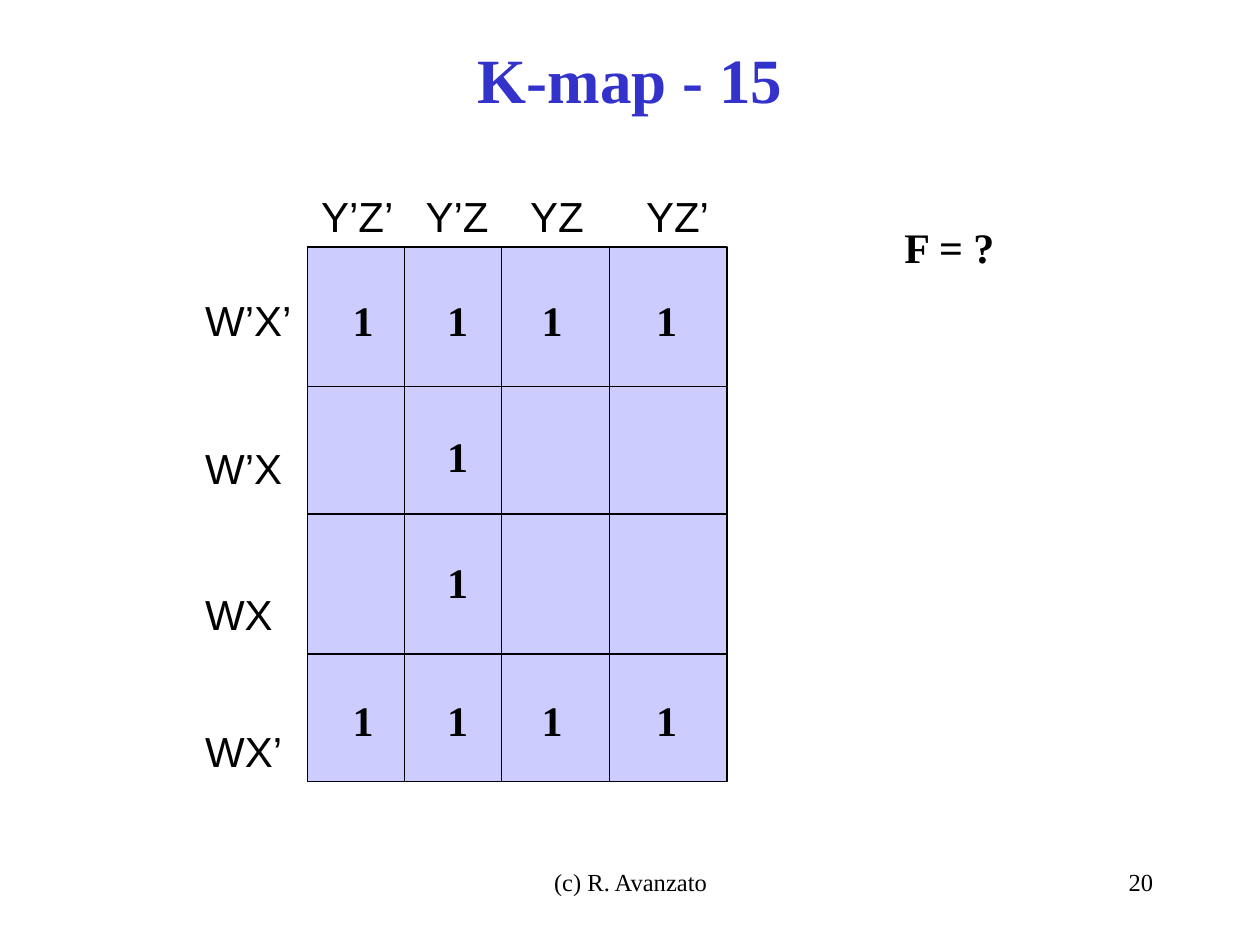
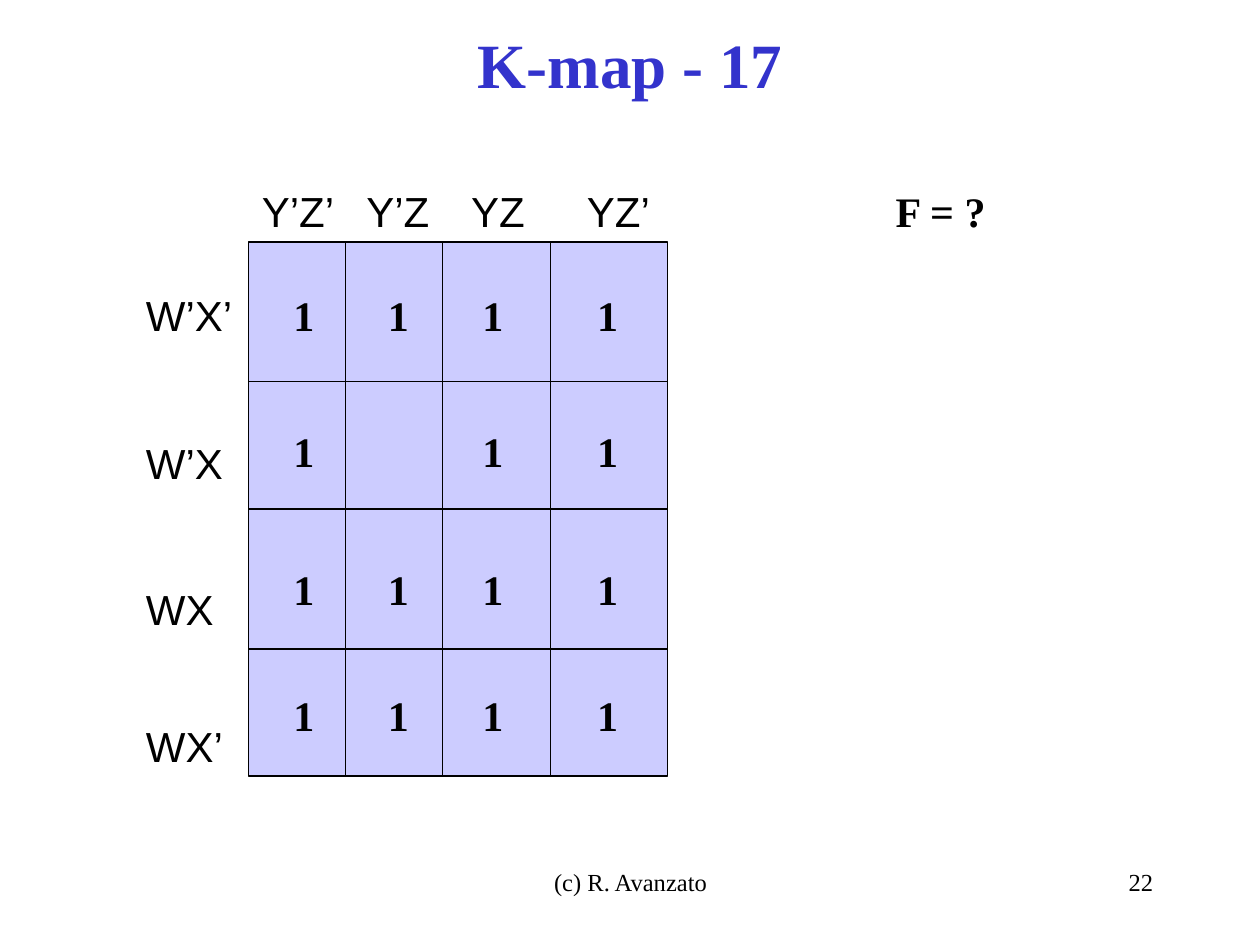
from pptx import Presentation
from pptx.dml.color import RGBColor as Rgb
from pptx.enum.shapes import MSO_CONNECTOR as Link, MSO_SHAPE as Shape
from pptx.enum.text import MSO_ANCHOR as Anchor, MSO_AUTO_SIZE as Fit, PP_ALIGN as Align
from pptx.oxml import parse_xml
from pptx.util import Inches, Pt

# Content: each map starts at "map"; "marks" shows which cells hold a 1
SLIDES = [
    {"title": "K-map - 15", "high": 1.25, "map": (2.44, 1.96), "ask": (7.08, 1.71),
     "marks": ["1111", ".1..", ".1..", "1111"],
     "drops": [0.33, 1.41, 2.41, 3.5], "page": "20"},
    {"title": "K-map - 17", "high": 1, "map": (1.97, 1.92), "ask": (7.01, 1.42),
     "marks": ["1111", "1.11", "1111", "1111"],
     "drops": [0.33, 1.41, 2.5, 3.5], "page": "22"},
]
ASK = "F = ?"
FOOT = "(c) R. Avanzato"

# Labels: text, offset from the map's corner, box width
COLS = [("Y’Z’", 0.01, 0.77), ("Y’Z", 0.84, 0.7), ("YZ", 1.67, 0.62), ("YZ’", 2.59, 0.7)]
ROWS = [("W’X’", 0.33, 0.88), ("W’X", 1.5, 0.81), ("WX", 2.66, 0.73), ("WX’", 3.75, 0.81)]
ROW_X = -0.91
MARK_X = [0.26, 1.01, 1.76, 2.67]

# Grid: two stacked halves, each split into two rows and four columns
WIDE, HALF, SPLIT = 3.33, 2.12, 1.11
RULES = [1.54, 0.77, 2.4]
LINE = Pt(0.74)
BOX = 0.5

HUES = {"title": "3333CC", "ink": "000000", "cell": "CCCCFF"}
SERIF, SANS = "Times New Roman", "Arial"
BARE = '<a:effectLst xmlns:a="http://schemas.openxmlformats.org/drawingml/2006/main"/>'


def hue(name):
    """Return a named colour."""
    return Rgb.from_string(HUES[name])


def write(slide, text, x, y, w, h=BOX, size=24, face=SERIF, bold=False,
          ink="ink", align=Align.LEFT, wrap=False):
    """Add a one-line text box and return its frame."""
    frame = slide.shapes.add_textbox(Inches(x), Inches(y), Inches(w), Inches(h)).text_frame
    frame.word_wrap = wrap
    frame.auto_size = Fit.NONE if wrap else Fit.SHAPE_TO_FIT_TEXT
    if not wrap:
        frame.margin_right = Inches(0.05)  # spare room keeps tight labels on one line
    par = frame.paragraphs[0]
    par.alignment = align
    run = par.add_run()
    run.text = text
    font = run.font
    font.name, font.size, font.bold = face, Pt(size), bold
    font.color.rgb = hue(ink)
    return frame


def rule(slide, x1, y1, x2, y2):
    """Draw a thin straight line."""
    line = slide.shapes.add_connector(
        Link.STRAIGHT, Inches(x1), Inches(y1), Inches(x2), Inches(y2))
    line.line.color.rgb = hue("ink")
    line.line.width = LINE
    line._element.spPr.append(parse_xml(BARE))


def half(slide, x, y):
    """Draw two rows of the map as a filled box with its rules."""
    box = slide.shapes.add_shape(
        Shape.RECTANGLE, Inches(x), Inches(y), Inches(WIDE), Inches(HALF))
    box.shadow.inherit = False
    box.fill.solid()
    box.fill.fore_color.rgb = hue("cell")
    box.line.color.rgb = hue("ink")
    box.line.width = LINE
    rule(slide, x, y + SPLIT, x + WIDE, y + SPLIT)
    for dx in RULES:
        rule(slide, x + dx, y, x + dx, y + HALF)


def grid(slide, x, y, marks, drops):
    """Draw the whole map with its labels and ones."""
    for text, dx, w in COLS:
        write(slide, text, x + dx, y - BOX, w, face=SANS)
    for n in range(2):
        half(slide, x, y + n * HALF)
    for text, dy, w in ROWS:
        write(slide, text, x + ROW_X, y + dy, w, face=SANS)
    for row, dy in zip(marks, drops):
        for mark, dx in zip(row, MARK_X):
            if mark == "1":
                write(slide, mark, x + dx, y + dy, 0.36, bold=True)


def frame(slide, title, high, page):
    """Add the title, footer and page number."""
    write(slide, FOOT, 3.42, 6.83, 3.17, size=14, align=Align.CENTER, wrap=True)
    write(slide, page, 7.17, 6.83, 2.08, size=14, align=Align.RIGHT, wrap=True)
    head = write(slide, title, 0.75, 0, 8.5, high, size=36, bold=True,
                 ink="title", align=Align.CENTER, wrap=True)
    head.vertical_anchor = Anchor.MIDDLE


deck = Presentation()
deck.slide_width, deck.slide_height = Inches(10), Inches(7.5)
for item in SLIDES:
    slide = deck.slides.add_slide(deck.slide_layouts[6])
    frame(slide, item["title"], item["high"], item["page"])
    grid(slide, *item["map"], item["marks"], item["drops"])
    write(slide, ASK, *item["ask"], 0.92, bold=True)
deck.save("out.pptx")
